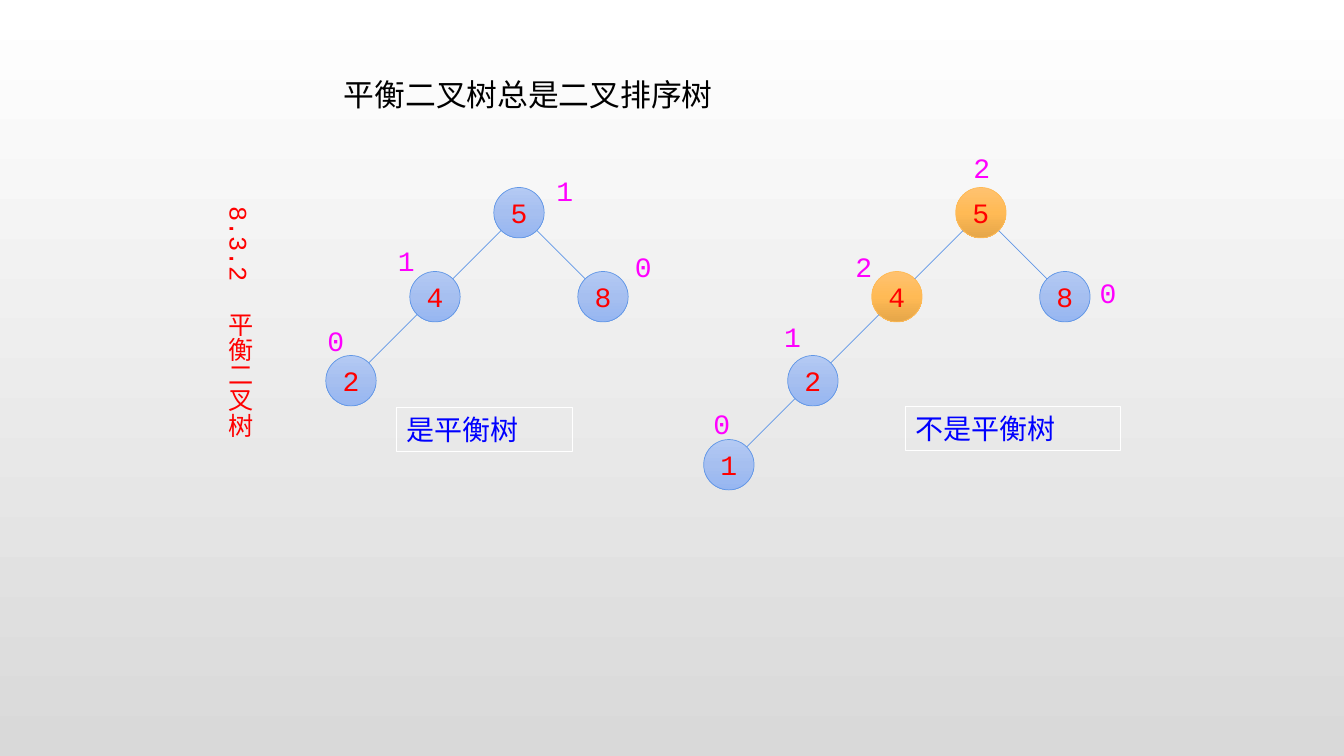
import dataclasses
import math

import lxml.etree
import pptx
import pptx.dml.color
import pptx.dml.fill
import pptx.enum.shapes
import pptx.enum.text
import pptx.oxml.ns
import pptx.shapes.group
import pptx.util

Cm = pptx.util.Cm
Pt = pptx.util.Pt
qn = pptx.oxml.ns.qn
Align = pptx.enum.text.PP_ALIGN

SANS = "Noto Sans CJK SC"
MONO = "Courier New"
RED = "FF0000"
BLUE = ("6096E6", ("B4CAF3", "A6BFF0", "96B6F1"))
ORANGE = ("FFBA55", ("FFC270", "FFBA55", "E5A649"))
STEP = 2.117
ROOT_Y = 5.36
RADIUS = 0.635


@dataclasses.dataclass
class Node:
    key: str
    column: int
    row: int
    factor: str
    factor_at: tuple[float, float]
    style: tuple = BLUE


@dataclasses.dataclass
class Tree:
    root_x: float
    nodes: list[Node]
    edges: list[tuple[int, int]]
    verdict: str
    verdict_at: tuple[float, float, float, float]


TREES = [
    Tree(13.08, [
        Node("5", 0, 0, "1", (13.77, 4.24)),
        Node("4", -1, 1, "1", (9.78, 6.02)),
        Node("8", 1, 1, "0", (15.75, 6.15)),
        Node("2", -2, 2, "0", (8, 8.03)),
    ], [(0, 1), (1, 3), (0, 2)], "是平衡树", (10, 10.26, 4.42, 1.12)),
    Tree(24.72, [
        Node("5", 0, 0, "2", (24.28, 3.66), ORANGE),
        Node("4", -1, 1, "2", (21.31, 6.15), ORANGE),
        Node("8", 1, 1, "0", (27.46, 6.83)),
        Node("2", -2, 2, "1", (19.51, 7.92)),
        Node("1", -3, 3, "0", (17.73, 10.11)),
    ], [(0, 1), (1, 3), (3, 4), (0, 2)], "不是平衡树", (22.81, 10.24, 5.44, 1.12)),
]


def colour(value: str) -> pptx.dml.color.RGBColor:
    return pptx.dml.color.RGBColor.from_string(value)


def set_gradient(fill: pptx.dml.fill.FillFormat, owner, colours: tuple) -> None:
    fill.gradient()
    fill.gradient_angle = 270
    stops = owner.find(".//" + qn("a:gsLst"))
    for stop in list(stops):
        stops.remove(stop)
    for index, value in enumerate(colours):
        place = str(100000 * index // (len(colours) - 1))
        stop = lxml.etree.SubElement(stops, qn("a:gs"), pos=place)
        lxml.etree.SubElement(stop, qn("a:srgbClr"), val=value)


def format_text(box, text: str, size: float, face: str, ink: str,
                align: Align = Align.LEFT) -> None:
    para = box.text_frame.paragraphs[0]
    para.text = text
    para.alignment = align
    para.font.size = Pt(size)
    para.font.name = face
    para.font.color.rgb = colour(ink)
    latin = para._p.find(".//" + qn("a:latin"))
    latin.addnext(latin.makeelement(qn("a:ea"), {"typeface": face}))


def add_text(shapes, place: tuple, text: str, size: float, face: str, ink: str,
             align: Align = Align.LEFT):
    box = shapes.add_textbox(*map(Cm, place))
    box.text_frame.word_wrap = True
    box.text_frame.auto_size = pptx.enum.text.MSO_AUTO_SIZE.SHAPE_TO_FIT_TEXT
    format_text(box, text, size, face, ink, align)
    return box


def centre(tree: Tree, node: Node) -> tuple[float, float]:
    return tree.root_x + node.column * STEP, ROOT_Y + node.row * STEP


def draw_node(group: pptx.shapes.group.GroupShape, tree: Tree, node: Node) -> None:
    x, y = centre(tree, node)
    circle = group.shapes.add_shape(
        pptx.enum.shapes.MSO_SHAPE.OVAL,
        Cm(x - RADIUS), Cm(y - RADIUS), Cm(2 * RADIUS), Cm(2 * RADIUS))
    circle.shadow.inherit = False
    outline, colours = node.style
    set_gradient(circle.fill, circle.element, colours)
    circle.line.color.rgb = colour(outline)
    circle.line.width = Pt(0.5)
    circle.text_frame.word_wrap = False
    circle.text_frame.vertical_anchor = pptx.enum.text.MSO_ANCHOR.MIDDLE
    format_text(circle, node.key, 20, MONO, RED, Align.CENTER)


def draw_edge(group: pptx.shapes.group.GroupShape, tree: Tree,
              parent: Node, child: Node) -> None:
    (x1, y1), (x2, y2) = centre(tree, parent), centre(tree, child)
    inset = RADIUS / math.sqrt(2)
    shift = math.copysign(inset, x2 - x1)
    edge = group.shapes.add_connector(
        pptx.enum.shapes.MSO_CONNECTOR.STRAIGHT,
        Cm(x1 + shift), Cm(y1 + inset), Cm(x2 - shift), Cm(y2 - inset))
    edge.line.color.rgb = colour(BLUE[0])
    edge.line.width = Pt(0.5)
    lxml.etree.SubElement(edge.element.spPr, qn("a:effectLst"))


def draw_tree(page, tree: Tree) -> None:
    group = page.shapes.add_group_shape()
    for node in tree.nodes:
        draw_node(group, tree, node)
    for parent, child in tree.edges:
        draw_edge(group, tree, tree.nodes[parent], tree.nodes[child])
    verdict = add_text(group.shapes, tree.verdict_at, tree.verdict, 20, SANS, "0000FF")
    verdict.line.color.rgb = colour("FFFFFF")
    verdict.line.width = Pt(0.75)
    for node in tree.nodes:
        add_text(group.shapes, (*node.factor_at, 0.79, 1.12),
                 node.factor, 20, MONO, "FF00FF")


def draw_title(page) -> None:
    title = page.shapes.title
    title.left, title.top, title.width, title.height = map(Cm, (8.41, 1.78, 11.91, 1.19))
    title.text_frame.word_wrap = True
    title.text_frame.vertical_anchor = pptx.enum.text.MSO_ANCHOR.TOP
    title.text_frame.auto_size = pptx.enum.text.MSO_AUTO_SIZE.SHAPE_TO_FIT_TEXT
    format_text(title, "平衡二叉树总是二叉排序树", 22, SANS, "000000")


def draw_section(page) -> None:
    section = add_text(page.shapes, (5.28, 4.95, 1.27, 8.74), "8.3.2", 18, MONO, RED,
                       Align.CENTER)
    section.text_frame._txBody.bodyPr.set("vert", "eaVert")
    para = section.text_frame.paragraphs[0]
    gap = para.add_run()
    gap.text = " "
    gap.font._element.set("spc", "1080")
    para.add_run().text = "平衡二叉树"


def main() -> None:
    deck = pptx.Presentation()
    deck.slide_width, deck.slide_height = Cm(33.87), Cm(19.05)
    page = deck.slides.add_slide(deck.slide_layouts[5])
    set_gradient(page.background.fill, page.element, ("FFFFFF", "D9D9D9"))
    draw_title(page)
    for tree in TREES:
        draw_tree(page, tree)
    draw_section(page)
    deck.save("out.pptx")


if __name__ == "__main__":
    main()
